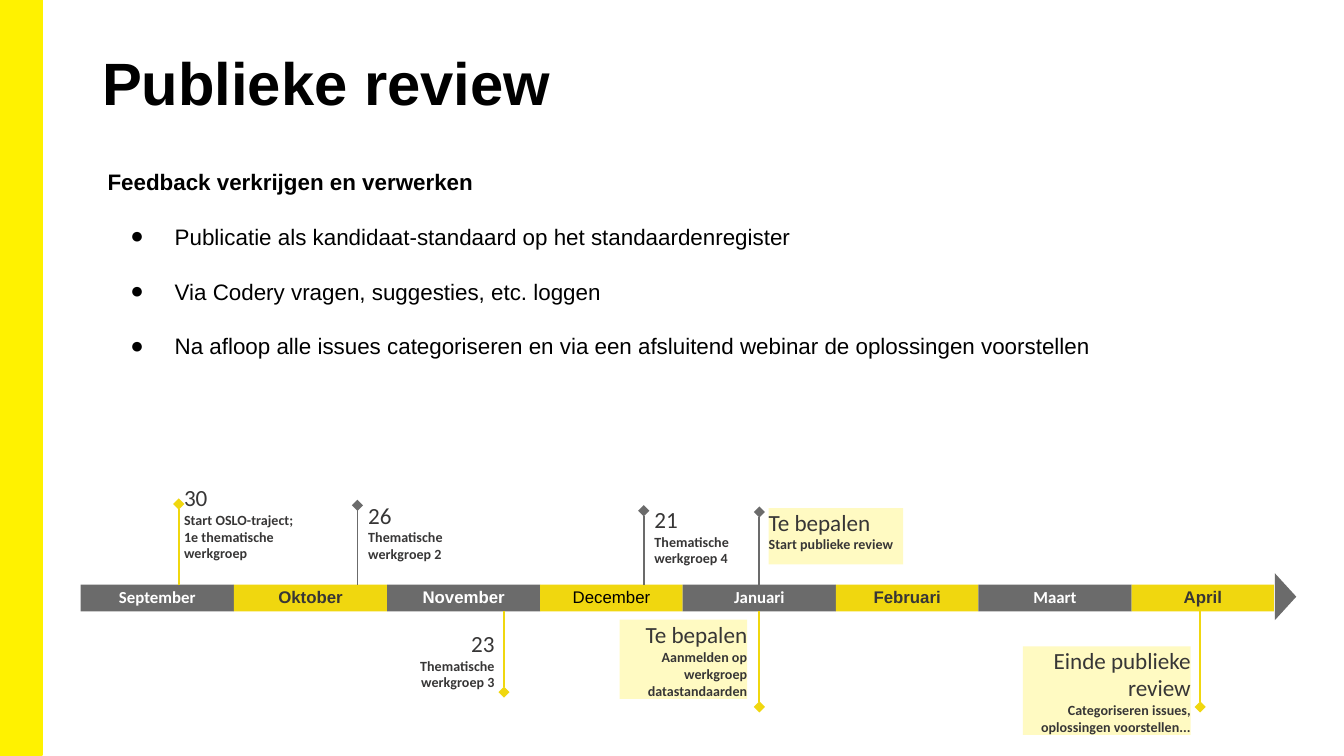
from dataclasses import dataclass

from lxml import etree
from pptx import Presentation
from pptx.dml.color import RGBColor
from pptx.enum.shapes import MSO_CONNECTOR, MSO_SHAPE
from pptx.enum.text import MSO_ANCHOR, PP_ALIGN
from pptx.oxml.ns import qn
from pptx.util import Pt

RECTANGLE, TRIANGLE = MSO_SHAPE.RECTANGLE, MSO_SHAPE.ISOSCELES_TRIANGLE
STRAIGHT = MSO_CONNECTOR.STRAIGHT
TOP, MIDDLE, BOTTOM = MSO_ANCHOR.TOP, MSO_ANCHOR.MIDDLE, MSO_ANCHOR.BOTTOM
LEFT, CENTER, RIGHT = PP_ALIGN.LEFT, PP_ALIGN.CENTER, PP_ALIGN.RIGHT
TOP_SIDE, BOTTOM_SIDE = 0, 2
EMU_PER_PX = 9144  # 100 px to the inch


@dataclass(frozen=True)
class Theme:
    band: str = "FFF200"
    grey: str = "6B6B6B"
    yellow: str = "F0D70F"
    highlight: str = "FFEB00"
    highlight_opacity: int = 24
    black: str = "000000"
    white: str = "FFFFFF"
    dark: str = "373636"
    sans: str = "Arial"
    label: str = "Calibri"
    title_size: float = 32
    body_size: float = 12
    month_size: float = 9
    date_size: float = 12.4
    note_size: float = 7.5


@dataclass(frozen=True)
class Event:
    stem: int  # x of the stem in the timeline box
    tip: int  # y of the diamond in the timeline box
    caption: tuple
    date: str
    notes: tuple
    color: str
    align: PP_ALIGN = LEFT
    anchor: MSO_ANCHOR = TOP
    highlighted: bool = False
    month: str = ""  # month whose middle the stem joins


THEME = Theme()
BAR_TOP, BAR_HEIGHT = 69, 20
LONG, SHORT = 114, 106
MONTHS = (  # name, width, font, bold
    ("September", LONG, THEME.label, True),
    ("Oktober", LONG, THEME.sans, True),
    ("November", LONG, THEME.sans, True),
    ("December", SHORT, THEME.sans, False),
    ("Januari", LONG, THEME.label, True),
    ("Februari", SHORT, THEME.sans, True),
    ("Maart", LONG, THEME.label, True),
    ("April", SHORT, THEME.sans, True),
)
EVENTS = (
    Event(73, 9, (77, 0, 100, 52), "30",
          ("Start OSLO-traject;", "1e thematische werkgroep"), THEME.yellow, anchor=BOTTOM),
    Event(206, 10, (214, 7, 100, 66), "26", ("Thematische werkgroep 2",), THEME.grey),
    Event(315, 149, (213, 111, 95, 37), "23", ("Thematische werkgroep 3",),
          THEME.yellow, RIGHT, BOTTOM),
    Event(419, 14, (427, 10, 100, 42), "21", ("Thematische werkgroep 4",), THEME.grey),
    Event(505, 15, (512, 12, 100, 42), "Te bepalen", ("Start publieke review",),
          THEME.grey, highlighted=True, month="Januari"),
    Event(505, 160, (401, 95, 95, 59), "Te bepalen",
          ("Aanmelden op werkgroep datastandaarden",), THEME.yellow, RIGHT, BOTTOM,
          True, "Januari"),
    Event(833, 160, (701, 115, 125, 66), "Einde publieke review",
          ("Categoriseren issues, oplossingen voorstellen...",), THEME.yellow, RIGHT,
          BOTTOM, True),
)


def px(*lengths):
    return [length * EMU_PER_PX for length in lengths]


def add_box(slide, box, fill=None, preset=RECTANGLE):
    if fill is None:
        return slide.shapes.add_textbox(*px(*box))
    shape = slide.shapes.add_shape(preset, *px(*box))
    shape.shadow.inherit = False
    shape.fill.solid()
    shape.fill.fore_color.rgb = RGBColor.from_string(fill)
    shape.line.fill.background()
    return shape


def prepare_text(shape, insets=(0, 0, 0, 0), anchor=TOP):
    frame = shape.text_frame
    frame.word_wrap = True
    frame.vertical_anchor = anchor
    (frame.margin_left, frame.margin_top,
     frame.margin_right, frame.margin_bottom) = px(*insets)
    return frame


def write(paragraph, text, size, font, color, bold=False, align=LEFT):
    paragraph.text = text
    paragraph.alignment = align
    paragraph.font.size = Pt(size)
    paragraph.font.name = font
    paragraph.font.bold = bold
    paragraph.font.color.rgb = RGBColor.from_string(color)


def add_bullet(paragraph):
    properties = paragraph._p.get_or_add_pPr()
    margin, indent = px(50, -33)
    properties.set("marL", str(margin))
    properties.set("indent", str(indent))
    color = etree.SubElement(properties, qn("a:buClr"))
    etree.SubElement(color, qn("a:srgbClr")).set("val", THEME.black)
    etree.SubElement(properties, qn("a:buFont")).set("typeface", THEME.sans)
    etree.SubElement(properties, qn("a:buChar")).set("char", "●")


def add_title(slide, box, text):
    frame = prepare_text(add_box(slide, box), (7, 4, 7, 4))
    write(frame.paragraphs[0], text, THEME.title_size, THEME.sans, THEME.black, True)


def add_body(slide, box, heading, points):
    frame = prepare_text(add_box(slide, box))
    for index, text in enumerate((heading, *points)):
        paragraph = frame.add_paragraph() if index else frame.paragraphs[0]
        paragraph.space_after = Pt(15)
        if index:
            add_bullet(paragraph)
        write(paragraph, text, THEME.body_size, THEME.sans, THEME.black, index == 0)


def add_event(slide, left, top, event, months):
    # Stem from the bar to the diamond
    above = event.tip < BAR_TOP
    start = BAR_TOP if above else BAR_TOP + BAR_HEIGHT
    x = left + event.stem
    stem = slide.shapes.add_connector(STRAIGHT, *px(x, top + start, x, top + event.tip))
    if event.month:
        stem.begin_connect(months[event.month], TOP_SIDE if above else BOTTOM_SIDE)
    stem.line.color.rgb = RGBColor.from_string(event.color)
    stem.line.width = Pt(1)
    etree.SubElement(stem.line._get_or_add_ln(), qn("a:tailEnd")).set("type", "diamond")
    etree.SubElement(stem._element.spPr, qn("a:effectLst"))

    # Caption
    x, y, width, height = event.caption
    caption = add_box(slide, (left + x, top + y, width, height),
                      THEME.highlight if event.highlighted else None)
    if event.highlighted:
        color = caption._element.spPr.find(qn("a:solidFill"))[0]
        etree.SubElement(color, qn("a:alpha")).set("val", str(THEME.highlight_opacity * 1000))
    frame = prepare_text(caption, anchor=event.anchor)
    write(frame.paragraphs[0], event.date, THEME.date_size, THEME.label, THEME.dark,
          align=event.align)
    for note in event.notes:
        write(frame.add_paragraph(), note, THEME.note_size, THEME.label, THEME.dark,
              True, event.align)


def add_timeline(slide, box):
    left, top, width, height = box
    # Arrowhead, turned to point right
    arrow = add_box(slide, (left + width - 35, top + 70, 35, 16), THEME.grey, TRIANGLE)
    arrow.rotation = 90

    # Month bar
    months = {}
    x = left
    for index, (name, month_width, font, bold) in enumerate(MONTHS):
        fill, color = ((THEME.yellow, THEME.dark if bold else THEME.black) if index % 2
                       else (THEME.grey, THEME.white))
        month = add_box(slide, (x, top + BAR_TOP, month_width, BAR_HEIGHT), fill)
        frame = prepare_text(month, (4, 4, 4, 6), MIDDLE)
        write(frame.paragraphs[0], name, THEME.month_size, font, color, bold, CENTER)
        months[name] = month
        x += month_width

    for event in EVENTS:
        add_event(slide, left, top, event, months)


def main():
    presentation = Presentation()
    presentation.slide_width, = px(1000)
    presentation.slide_height = presentation.slide_width * 9 // 16
    slide = presentation.slides.add_slide(presentation.slide_layouts[6])

    # Side band
    band = add_box(slide, (0, 0, 31, 562), THEME.band)
    band.line.color.rgb = RGBColor.from_string(THEME.band)
    band.line.width = Pt(1)

    add_title(slide, (69, 30, 862, 81), "Publieke review")
    add_body(slide, (80, 125, 869, 153), "Feedback verkrijgen en verwerken", (
        "Publicatie als kandidaat-standaard op het standaardenregister",
        "Via Codery vragen, suggesties, etc. loggen",
        "Na afloop alle issues categoriseren en via een afsluitend webinar"
        " de oplossingen voorstellen",
    ))
    add_timeline(slide, (60, 366, 914, 181))
    presentation.save("out.pptx")


if __name__ == "__main__":
    main()
